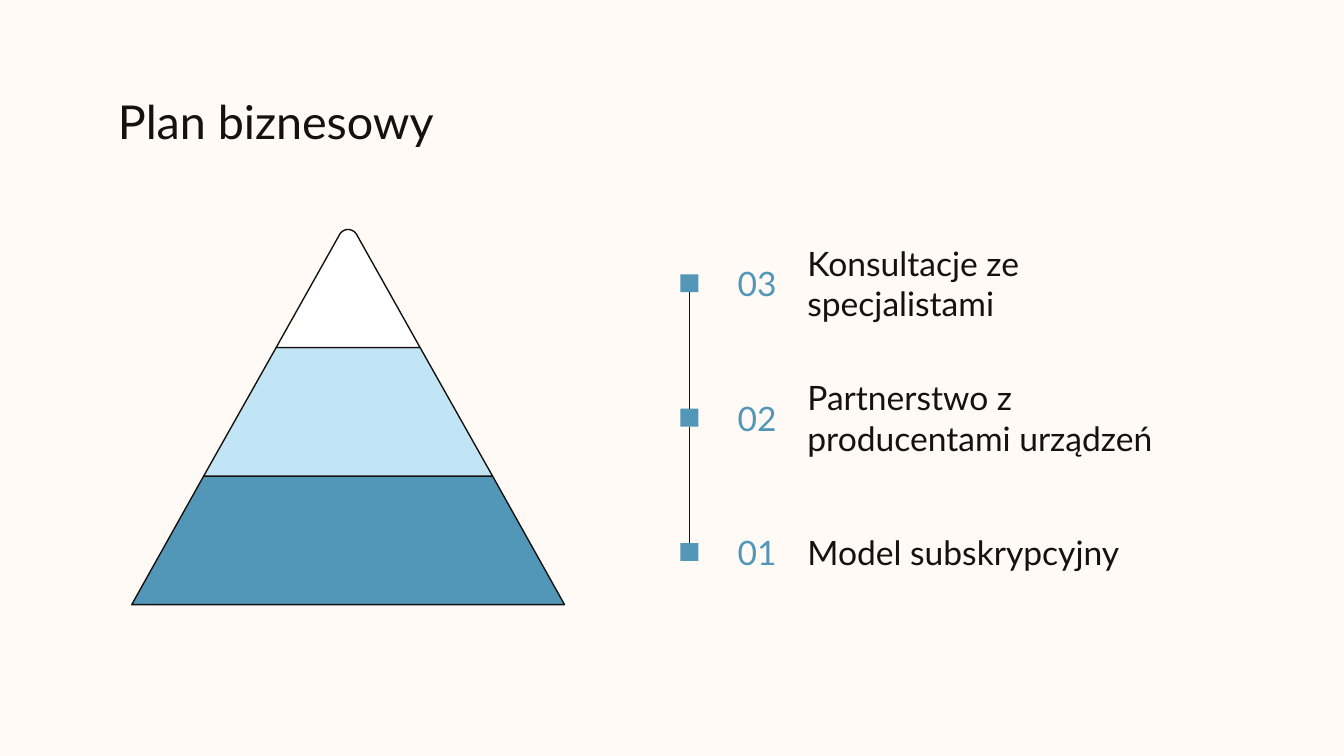
from lxml import etree
from pptx import Presentation
from pptx.dml.color import RGBColor
from pptx.enum import shapes, text
from pptx.oxml.ns import qn
from pptx.util import Cm, Pt

CREAM = RGBColor(0xFF, 0xFA, 0xF6)
INK = RGBColor(0x15, 0x11, 0x0E)
BLUE = RGBColor(0x52, 0x96, 0xB8)
PALE_BLUE = RGBColor(0xC2, 0xE5, 0xF5)
WHITE = RGBColor(0xFF, 0xFF, 0xFF)

# Pyramid geometry in centimetres: (height on the slide, half width)
AXIS = 6.58
LEVELS = [(6.57, 1.36), (9.0, 2.73), (11.43, 4.09)]
TIP_CURVE = [(0.17, 4.45), (0.13, 4.37), (0.06, 4.34), (0, 4.34)]

# Number, label, label width in centimetres
STEPS = [
    ("03", "Konsultacje ze specjalistami", 8.15),
    ("02", "Partnerstwo z producentami urządzeń", 7.72),
    ("01", "Model subskrypcyjny", 8.15),
]
FIRST_ROW, ROW_PITCH, ROW_HEIGHT = 4.72, 2.54, 1.27
MARKER = 0.34


def add_label(slide, words, left, top, width, height, size=18, color=INK,
              align=text.PP_ALIGN.LEFT, anchor=text.MSO_ANCHOR.MIDDLE):
    frame = slide.shapes.add_textbox(Cm(left), Cm(top), Cm(width), Cm(height)).text_frame
    frame_format = {"word_wrap": True, "vertical_anchor": anchor}
    for side in ("left", "right", "top", "bottom"):
        frame_format[f"margin_{side}"] = Cm(0.25)
    for name, value in frame_format.items():
        setattr(frame, name, value)
    paragraph = frame.paragraphs[0]
    paragraph.text = words
    paragraph.alignment = align
    for name, value in {"name": "Lato", "size": Pt(size)}.items():
        setattr(paragraph.font, name, value)
    paragraph.font.color.rgb = color


def add_band(slide, outline, fill):
    points = [(Cm(AXIS + x), Cm(y)) for x, y in outline]
    builder = slide.shapes.build_freeform(*points[0])
    builder.add_line_segments(points[1:], close=True)
    band = builder.convert_to_shape()
    band.shadow.inherit = False
    band.fill.solid()
    band.fill.fore_color.rgb = fill
    band.line.color.rgb = INK
    band.line.width = Pt(0.75)


def add_marker(slide, center_y):
    marker = slide.shapes.add_shape(
        shapes.MSO_SHAPE.RECTANGLE, Cm(12.86), Cm(center_y - MARKER / 2), Cm(MARKER), Cm(MARKER))
    marker.shadow.inherit = False
    marker.fill.solid()
    marker.fill.fore_color.rgb = BLUE
    marker.line.fill.background()
    return marker


def join_markers(slide, upper, lower):
    link = slide.shapes.add_connector(shapes.MSO_CONNECTOR.STRAIGHT, 0, 0, 0, 0)
    link.begin_connect(upper, 2)
    link.end_connect(lower, 0)
    link.line.color.rgb = INK
    link.line.width = Pt(0.75)
    etree.SubElement(link._element.spPr, qn("a:effectLst"))


def bezier(controls, t):
    """Point on a cubic curve."""
    weights = ((1 - t) ** 3, 3 * t * (1 - t) ** 2, 3 * t ** 2 * (1 - t), t ** 3)
    return tuple(sum(w * p[axis] for w, p in zip(weights, controls)) for axis in (0, 1))


def add_pyramid(slide):
    # Bands from the base upwards
    for i, fill in ((2, BLUE), (1, PALE_BLUE)):
        (top, narrow), (bottom, wide) = LEVELS[i - 1], LEVELS[i]
        add_band(slide, [(-narrow, top), (-wide, bottom), (wide, bottom), (narrow, top)], fill)

    # Rounded tip, mirrored about the axis
    bottom, wide = LEVELS[0]
    right = [bezier(TIP_CURVE, n / 10) for n in range(11)]
    left = [(-x, y) for x, y in reversed(right[:-1])]
    add_band(slide, [(wide, bottom)] + right + left + [(-wide, bottom)], WHITE)


def add_steps(slide):
    markers = []
    for row, (number, label, width) in enumerate(STEPS):
        top = FIRST_ROW + row * ROW_PITCH
        add_label(slide, number, 13.61, top, 1.4, ROW_HEIGHT, color=BLUE,
                  align=text.PP_ALIGN.CENTER)
        add_label(slide, label, 15.01, top, width, ROW_HEIGHT)
        markers.append(add_marker(slide, top + ROW_HEIGHT / 2))
    for upper, lower in zip(markers, markers[1:]):
        join_markers(slide, upper, lower)


def main():
    deck = Presentation()
    deck.slide_width, deck.slide_height = Cm(25.4), Cm(14.29)
    slide = deck.slides.add_slide(deck.slide_layouts[6])
    slide.background.fill.solid()
    slide.background.fill.fore_color.rgb = CREAM

    # Title
    add_label(slide, "Plan biznesowy", 1.98, 1.5, 21.44, 1.52, size=25,
              anchor=text.MSO_ANCHOR.TOP)
    # Pyramid and its timeline of steps
    add_pyramid(slide)
    add_steps(slide)
    deck.save("out.pptx")


if __name__ == "__main__":
    main()
